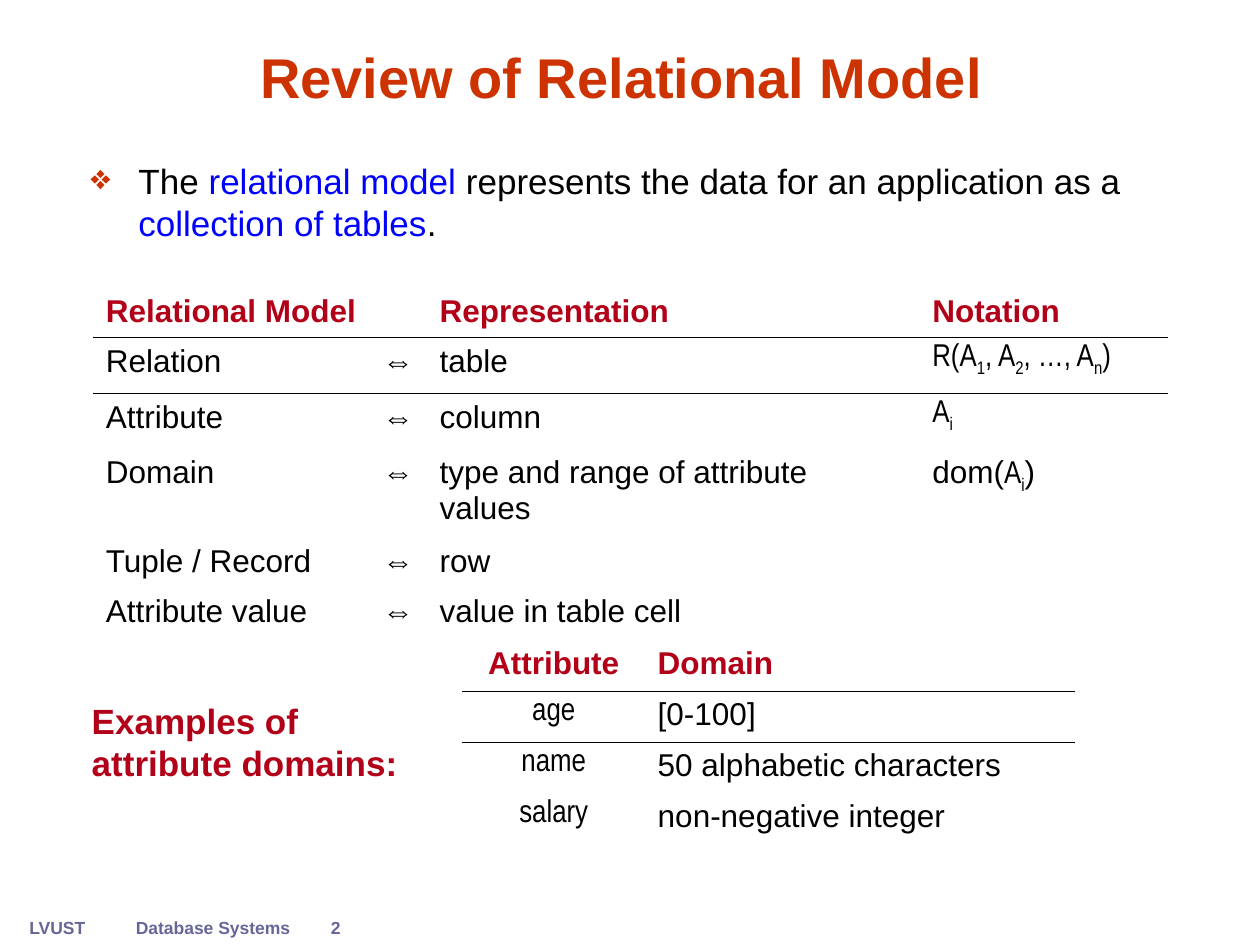
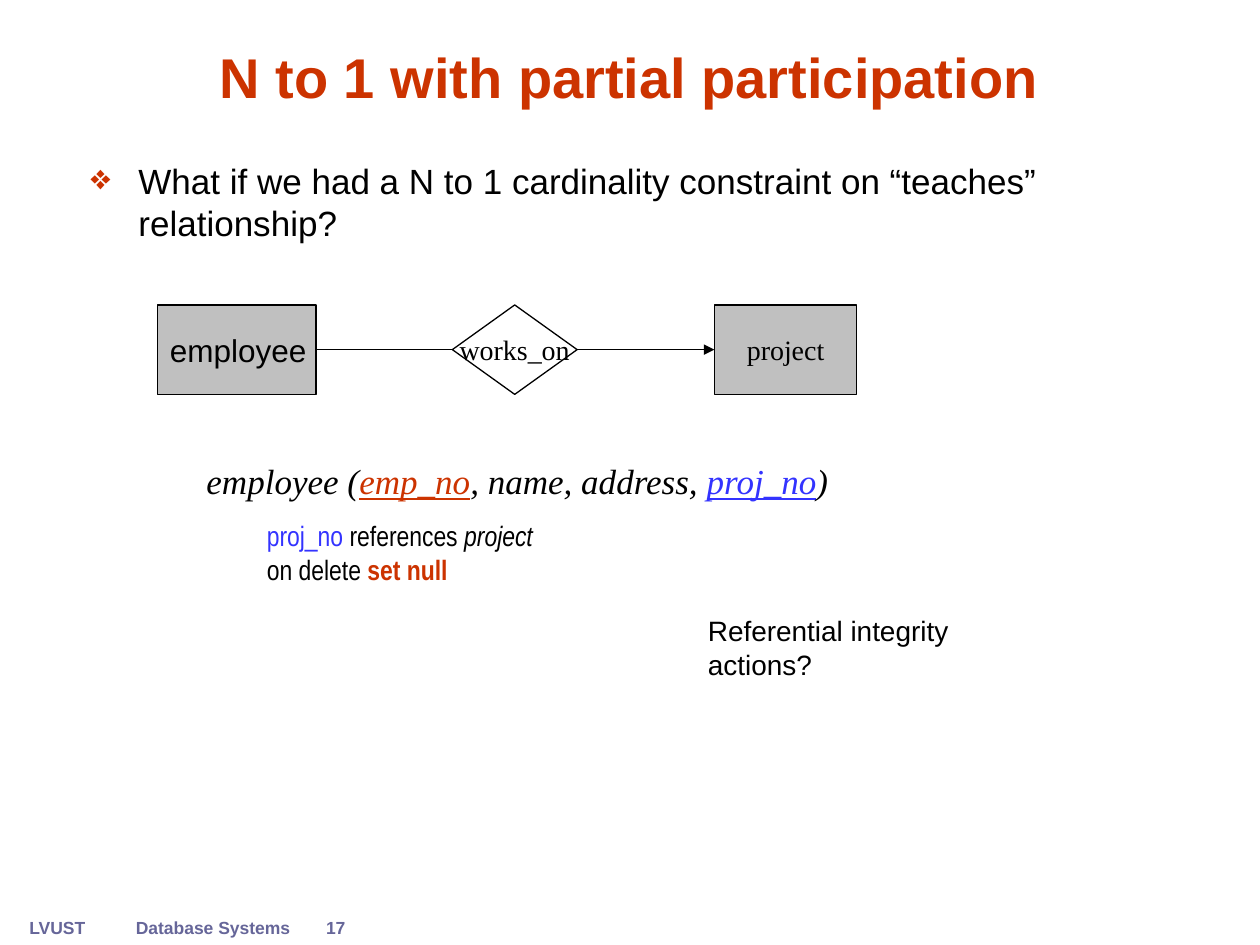
from dataclasses import dataclass, field
from typing import Any

from lxml import etree
from pptx import Presentation
from pptx.dml.color import RGBColor
from pptx.enum.shapes import MSO_CONNECTOR, MSO_SHAPE
from pptx.enum.text import MSO_ANCHOR, PP_ALIGN
from pptx.oxml.ns import qn
from pptx.util import Inches, Pt

LEFT, CENTER = PP_ALIGN.LEFT, PP_ALIGN.CENTER
NO_STYLE = "{2D5ABB26-0587-4C30-8999-92F81FD0307C}"


@dataclass(frozen=True)
class Theme:
    """Colours, fonts and type sizes used on every slide."""
    title: str = "CC3300"
    heading: str = "B30019"
    term: str = "0000FF"
    foreign_key: str = "3333FF"
    footer: str = "666699"
    text: str = "000000"
    entity: str = "C0C0C0"
    paper: str = "FFFFFF"
    sans: str = "Arial"
    narrow: str = "Arial Narrow"
    serif: str = "Times New Roman"
    title_size: int = 32
    body_size: int = 20
    cell_size: int = 18
    note_size: int = 16
    footer_size: int = 10
    line_width: float = 0.75
    rule_width: float = 0.45


T = Theme()


@dataclass
class Span:
    """A stretch of text and the format values that differ from its block."""
    text: str
    fmt: dict[str, Any] = field(default_factory=dict)


@dataclass
class Para:
    """One paragraph with its alignment, spacing (points) and indent (inches)."""
    spans: list[Span]
    align: Any = LEFT
    before: float = 0
    margin: float = 0
    bullet: str = ""


@dataclass
class Box:
    """A place on the slide in inches."""
    x: float
    y: float
    w: float
    h: float

    def lengths(self) -> list:
        """Return left, top, width and height as lengths."""
        return [Inches(v) for v in (self.x, self.y, self.w, self.h)]


@dataclass
class Node:
    """A labelled shape of the entity-relationship diagram."""
    label: str
    kind: Any
    box: Box
    fill: str
    fmt: dict[str, Any]
    align: Any = CENTER
    before: float = 10


NARROW = {"name": T.narrow}
SUB = NARROW | {"baseline": -25000}
HEADING = {"bold": True, "color": T.heading}
SERIF_NOTE = {"name": T.serif, "size": T.note_size}


def plain(text: str, **kw) -> Para:
    """Make a paragraph of one unformatted span."""
    return Para([Span(text)], **kw)


def attribute(name: str, index: str) -> list[Span]:
    """Make a narrow symbol followed by its subscript."""
    return [Span(name, NARROW), Span(index, SUB)]


def format_run(r, fmt: dict[str, Any]) -> None:
    """Apply a dict of format values to a run."""
    values = {"name": T.sans, "size": T.body_size, "color": T.text} | fmt
    r.font.color.rgb = RGBColor.from_string(values.pop("color"))
    values["size"] = Pt(values["size"])
    baseline = values.pop("baseline", None)
    if baseline:
        r.font._element.set("baseline", str(baseline))
    for key, value in values.items():
        setattr(r.font, key, value)


def add_bullet(p, char: str, margin: float) -> None:
    """Give a paragraph a coloured bullet with a hanging indent."""
    pPr = p._p.get_or_add_pPr()
    pPr.set("indent", str(-Inches(margin)))
    color = etree.SubElement(pPr, qn("a:buClr"))
    etree.SubElement(color, qn("a:srgbClr")).set("val", T.title)
    etree.SubElement(pPr, qn("a:buChar")).set("char", char)


def write(tf, paras: list[Para], fmt: dict[str, Any]) -> None:
    """Fill a text frame with paragraphs."""
    for i, para in enumerate(paras):
        p = tf.paragraphs[0] if i == 0 else tf.add_paragraph()
        p.alignment = para.align
        if para.before:
            p.space_before = Pt(para.before)
        if para.margin:
            p._p.get_or_add_pPr().set("marL", str(Inches(para.margin)))
        if para.bullet:
            add_bullet(p, para.bullet, para.margin)
        for span in para.spans:
            r = p.add_run()
            r.text = span.text
            format_run(r, fmt | span.fmt)


def add_text(slide, box: Box, paras: list[Para], fmt: dict[str, Any],
             wrap: bool = True, anchor=MSO_ANCHOR.TOP) -> None:
    """Draw a text box."""
    tf = slide.shapes.add_textbox(*box.lengths()).text_frame
    tf.word_wrap = wrap
    tf.vertical_anchor = anchor
    write(tf, paras, fmt)


def add_rule(cell, side: str) -> None:
    """Draw a thin line on one side of a cell."""
    ln = etree.Element(qn(f"a:{side}"), w=str(Pt(T.rule_width)))
    fill = etree.SubElement(ln, qn("a:solidFill"))
    etree.SubElement(fill, qn("a:srgbClr")).set("val", T.text)
    cell._tc.get_or_add_tcPr().insert(0, ln)


def add_grid(slide, x: float, y: float, cols: list[float], heights: list[float],
             rows: list[list[list[Span]]], centered: int) -> None:
    """Draw a table with a ruled heading row and one centred column."""
    box = Box(x, y, sum(cols), sum(heights))
    table = slide.shapes.add_table(len(rows), len(cols), *box.lengths()).table
    table._tbl.tblPr.find(qn("a:tableStyleId")).text = NO_STYLE
    table.first_row = table.horz_banding = False
    for col, width in zip(table.columns, cols):
        col.width = Inches(width)
    for i, (row, height) in enumerate(zip(rows, heights)):
        table.rows[i].height = Inches(height)
        for j, spans in enumerate(row):
            cell = table.cell(i, j)
            cell.fill.background()
            if i < 2:
                add_rule(cell, "lnT" if i else "lnB")
            fmt = {"size": T.cell_size} | ({} if i else HEADING)
            align = CENTER if j == centered else LEFT
            write(cell.text_frame, [Para(spans, align)], fmt)


def add_node(slide, node: Node) -> None:
    """Draw a diagram shape with its label."""
    sp = slide.shapes.add_shape(node.kind, *node.box.lengths())
    sp.shadow.inherit = False
    sp.fill.solid()
    sp.fill.fore_color.rgb = RGBColor.from_string(node.fill)
    sp.line.color.rgb = RGBColor.from_string(T.text)
    sp.line.width = Pt(T.line_width)
    sp.text_frame.word_wrap = False
    sp.text_frame.vertical_anchor = MSO_ANCHOR.MIDDLE
    label = plain(node.label, align=node.align, before=node.before)
    write(sp.text_frame, [label], node.fmt)


def add_link(slide, start: Box, end: Box, arrow: bool) -> None:
    """Join the facing sides of two shapes by a level line."""
    y = Inches(start.y + start.h / 2)
    line = slide.shapes.add_connector(
        MSO_CONNECTOR.STRAIGHT, Inches(start.x + start.w), y, Inches(end.x), y)
    line.line.color.rgb = RGBColor.from_string(T.text)
    line.line.width = Pt(T.line_width)
    if arrow:
        ln = line.line._get_or_add_ln()
        etree.SubElement(ln, qn("a:tailEnd")).set("type", "triangle")
    etree.SubElement(line._element.spPr, qn("a:effectLst"))


def start_slide(prs, number: int, title: str, lead: list[Span]):
    """Add a slide with its footer, title and leading bullet."""
    slide = prs.slides.add_slide(prs.slide_layouts[6])
    footer = {"size": T.footer_size, "color": T.footer, "bold": True}
    for text, x, w, align in (("LVUST", 0.12, 0.67, CENTER),
                              (str(number), 2.23, 0.87, CENTER),
                              ("Database Systems", 0.98, 1.42, LEFT)):
        add_text(slide, Box(x, 7.23, w, 0.27),
                 [plain(text, align=align, before=6.2)], footer, wrap=False)
    add_text(slide, Box(0.58, 0.25, 8.83, 0.67), [plain(title, align=CENTER)],
             {"size": T.title_size, "color": T.title, "bold": True},
             anchor=MSO_ANCHOR.BOTTOM)
    add_text(slide, Box(0.62, 1.22, 8.58, 5.33),
             [Para(lead, before=8.8, margin=0.38, bullet="❖")], {})
    return slide


def build_review(prs) -> None:
    """Build the slide that reviews the relational model."""
    term = {"color": T.term}
    slide = start_slide(prs, 2, "Review of Relational Model ", [
        Span("The "), Span("relational model", term),
        Span(" represents the data for an application as a "),
        Span("collection of tables", term), Span(". ")])
    schema = [Span("R(", NARROW), *attribute("A", "1"), Span(", ", NARROW),
              *attribute("A", "2"), Span(", …, ", NARROW),
              *attribute("A", "n"), Span(")", NARROW)]
    concepts = [
        ("Relation", "table", schema),
        ("Attribute", "column", attribute("A", "i")),
        ("Domain", "type and range of attribute values",
         [Span("dom("), *attribute("A", "i"), Span(")")]),
        ("Tuple / Record", "row", []),
        ("Attribute value", "value in table cell", [])]
    rows = [[[Span("Relational Model")], [], [Span("Representation")],
             [Span("Notation")]]]
    rows += [[[Span(name)], [Span("⇔")], [Span(shown)], notation]
             for name, shown, notation in concepts]
    heights = [0.44 if any("baseline" in s.fmt for s in row[-1]) else 0.4
               for row in rows]
    add_grid(slide, 0.74, 2.28, [2.19, 0.46, 3.91, 1.97], heights, rows, 1)

    add_text(slide, Box(0.63, 5.5, 2.76, 0.77),
             [plain("Examples of attribute domains:")], HEADING)
    domains = {"age": "[0-100]", "name": "50 alphabetic characters",
               "salary": "non-negative integer"}
    rows = [[[Span("Attribute")], [Span("Domain")]]]
    rows += [[[Span(name, NARROW)], [Span(domain)]]
             for name, domain in domains.items()]
    add_grid(slide, 3.67, 5.08, [1.45, 3.41], [0.405] * len(rows), rows, 0)


def build_participation(prs) -> None:
    """Build the slide on N to 1 with partial participation."""
    slide = start_slide(prs, 17, "Ν to 1 with partial participation", [
        Span("What if we had a N to 1 cardinality constraint on "
             "“teaches” relationship?")])
    top, height = 2.42, 0.71
    employee = Node("employee", MSO_SHAPE.RECTANGLE, Box(1.25, top, 1.26, height),
                    T.entity, {"size": T.cell_size}, LEFT, 0)
    project = Node("project", MSO_SHAPE.FLOWCHART_PROCESS,
                   Box(5.67, top, 1.13, height), T.entity, SERIF_NOTE)
    works_on = Node("works_on", MSO_SHAPE.FLOWCHART_DECISION,
                    Box(3.59, top, 0.99, height), T.paper, SERIF_NOTE)
    for node in (employee, project, works_on):
        add_node(slide, node)
    add_link(slide, employee.box, works_on.box, arrow=False)
    add_link(slide, works_on.box, project.box, arrow=True)

    foreign = {"color": T.foreign_key}
    line = {"underline": True}
    add_text(slide, Box(1.54, 3.6, 6.08, 0.44), [Para([
        Span("employee ("), Span("emp_no", line | {"color": T.title}),
        Span(", name, address, "), Span("proj_no", line | foreign),
        Span(")")])], {"name": T.serif, "italic": True})
    add_text(slide, Box(5.52, 4.82, 2.99, 0.37),
             [plain("Referential integrity actions?")],
             {"size": T.note_size}, wrap=False)
    add_text(slide, Box(1.42, 4.07, 5, 0.64), [
        Para([Span("proj_no", foreign), Span(" references "),
              Span("project", {"italic": True})], margin=0.6),
        Para([Span("on delete "),
              Span("set null", {"color": T.title, "bold": True})], margin=0.6),
    ], NARROW | {"size": T.note_size})


def main() -> None:
    """Build and save the presentation."""
    prs = Presentation()
    prs.slide_width, prs.slide_height = Inches(10), Inches(7.5)
    build_review(prs)
    build_participation(prs)
    prs.save("out.pptx")


main()
